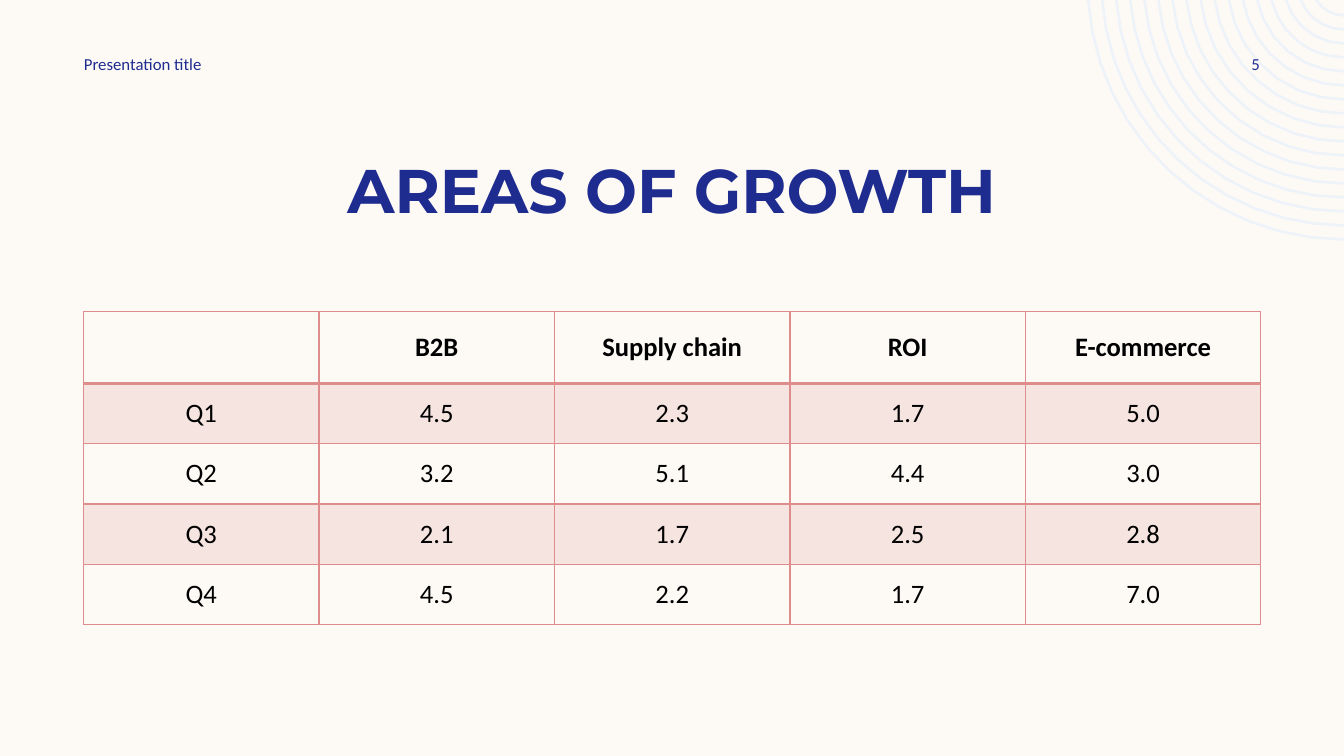
"""Build the areas of growth slide with its quarterly table."""
from math import asin, cos, pi, sin

from lxml.etree import SubElement
from pptx import Presentation
from pptx.dml.color import RGBColor
from pptx.enum.text import MSO_ANCHOR, PP_ALIGN
from pptx.oxml.ns import qn
from pptx.util import Pt

COLORS = {
    "background": "FDFAF6",
    "rings": "EEF3FA",
    "navy": "1F2C8F",
    "rose": "DE8C8C",
    "black": "000000",
}
SLIDE_WIDTH, SLIDE_HEIGHT = 960, 540
MARGIN = 60
GROWTH = [
    ["", "B2B", "Supply chain", "ROI", "E-commerce"],
    ["Q1", "4.5", "2.3", "1.7", "5.0"],
    ["Q2", "3.2", "5.1", "4.4", "3.0"],
    ["Q3", "2.1", "1.7", "2.5", "2.8"],
    ["Q4", "4.5", "2.2", "1.7", "7.0"],
]


def color(name):
    return RGBColor.from_string(COLORS[name])


def add_run(paragraph, text, size, color_name, font="Calibri", bold=False):
    run = paragraph.add_run()
    run.text = text
    run.font.name = font
    run.font.size = Pt(size)
    run.font.bold = bold
    run.font.color.rgb = color(color_name)


def add_text(slide, box, text, size, align, anchor, insets=(0, 0), **style):
    shape = slide.shapes.add_textbox(*map(Pt, box))
    frame = shape.text_frame
    frame.word_wrap = True
    frame.vertical_anchor = anchor
    frame.margin_left, frame.margin_right = map(Pt, insets)
    paragraph = frame.paragraphs[0]
    paragraph.alignment = align
    add_run(paragraph, text, size, "navy", **style)


def add_header(slide, left, top, width, height):
    add_text(slide, (left, top, 252, height), "Presentation title", 12,
             PP_ALIGN.LEFT, MSO_ANCHOR.MIDDLE)
    number_width = 78
    add_text(slide, (left + width - number_width, top, number_width, height), "5", 12,
             PP_ALIGN.RIGHT, MSO_ANCHOR.MIDDLE)


def add_title(slide, left, top, width, height):
    add_text(slide, (left, top, width, height), "AREAS OF GROWTH", 44,
             PP_ALIGN.CENTER, MSO_ANCHOR.BOTTOM, (7.2, 7.2), font="Montserrat", bold=True)


def ring_outline(right, top, radius, thickness, rise):
    steps = 3 + round(radius / 20)
    points = []
    for arc_radius, order in ((radius, 1), (radius - thickness, -1)):
        start = asin(rise / arc_radius)
        angles = [start + (pi / 2 - start) * step / steps for step in range(steps + 1)]
        points += [(Pt(right - arc_radius * cos(angle)),
                    Pt(top - rise + arc_radius * sin(angle))) for angle in angles[::order]]
    return points


def add_rings(slide, right, top, count=17, first_radius=24, gap=10, thickness=1.9, rise=12):
    outlines = [ring_outline(right, top, first_radius + gap * index, thickness, rise)
                for index in range(count)]
    first, *others = outlines
    builder = slide.shapes.build_freeform(*first[0])
    builder.add_line_segments(first[1:], close=True)
    for outline in others:
        builder.move_to(*outline[0])
        builder.add_line_segments(outline[1:], close=True)
    shape = builder.convert_to_shape()
    shape.shadow.inherit = False
    shape.fill.solid()
    shape.fill.fore_color.rgb = color("rings")
    shape.line.fill.background()


def set_borders(cell, widths):
    properties = cell._tc.get_or_add_tcPr()
    for side, width in zip("LRTB", widths):
        line = SubElement(properties, qn(f"a:ln{side}"), w=str(Pt(width)))
        fill = SubElement(line, qn("a:solidFill"))
        SubElement(fill, qn("a:srgbClr"), val=COLORS["rose"])


def set_fill(cell, shaded):
    if not shaded:
        cell.fill.background()
        return
    cell.fill.solid()
    cell.fill.fore_color.rgb = color("rose")
    tint = cell._tc.tcPr.find(qn("a:solidFill")).find(qn("a:srgbClr"))
    SubElement(tint, qn("a:alpha"), val="20000")


def add_growth_table(slide, left, top, width, height, header_height=51.4):
    row_count, column_count = len(GROWTH), len(GROWTH[0])
    body_height = (height - header_height) / (row_count - 1)
    table = slide.shapes.add_table(row_count, column_count,
                                   *map(Pt, (left, top, width, height))).table
    table.first_row = table.horz_banding = False
    for column in table.columns:
        column.width = Pt(width / column_count)
    for row_index, values in enumerate(GROWTH):
        is_header = row_index == 0
        table.rows[row_index].height = Pt(header_height if is_header else body_height)
        for column_index, value in enumerate(values):
            cell = table.cell(row_index, column_index)
            cell.vertical_anchor = MSO_ANCHOR.MIDDLE
            cell.margin_left = cell.margin_right = Pt(7.9)
            cell.margin_top = cell.margin_bottom = Pt(3.6)
            set_borders(cell, (1, 1, 2 if row_index == 1 else 1, 2 if is_header else 1))
            set_fill(cell, row_index % 2 == 1)
            if value:
                paragraph = cell.text_frame.paragraphs[0]
                paragraph.alignment = PP_ALIGN.CENTER
                add_run(paragraph, value, 19, "black", bold=is_header)


def main():
    presentation = Presentation()
    presentation.slide_width, presentation.slide_height = Pt(SLIDE_WIDTH), Pt(SLIDE_HEIGHT)
    slide = presentation.slides.add_slide(presentation.slide_layouts[6])
    slide.background.fill.solid()
    slide.background.fill.fore_color.rgb = color("background")
    content_width = SLIDE_WIDTH - 2 * MARGIN
    add_rings(slide, SLIDE_WIDTH, 0)
    add_title(slide, MARGIN, 57.6, content_width, 107.3)
    add_header(slide, MARGIN, 36, content_width, 19.4)
    add_growth_table(slide, MARGIN - 0.3, 222.5, 841, 223.6)
    presentation.save("out.pptx")


if __name__ == "__main__":
    main()
